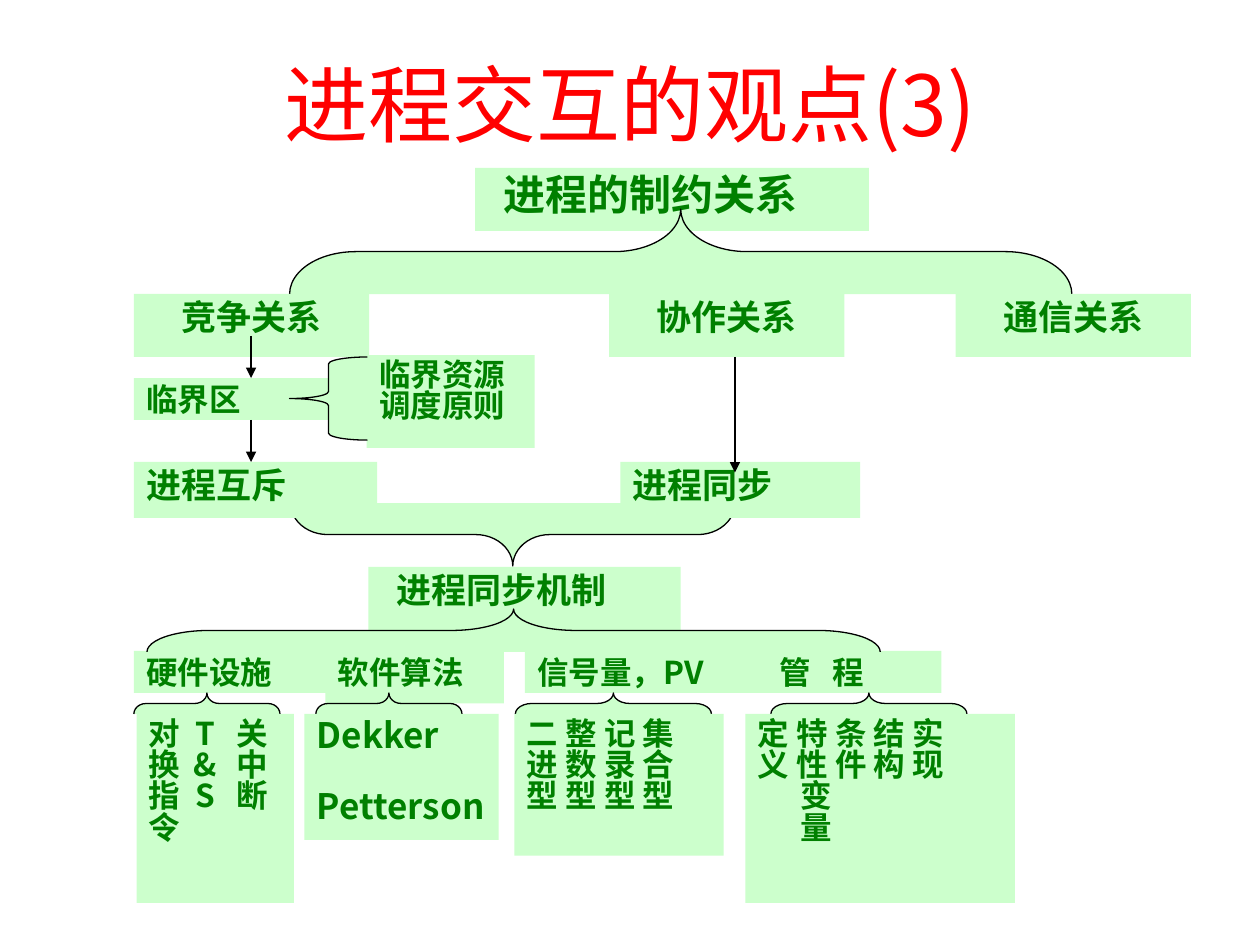
from lxml import etree
from pptx import Presentation
from pptx.dml.color import RGBColor
from pptx.enum.shapes import MSO_CONNECTOR, MSO_SHAPE
from pptx.enum.text import MSO_ANCHOR, PP_ALIGN
from pptx.oxml.ns import qn
from pptx.util import Pt

RECTANGLE = MSO_SHAPE.RECTANGLE
LEFT_BRACE = MSO_SHAPE.LEFT_BRACE
RIGHT_BRACE = MSO_SHAPE.RIGHT_BRACE
STRAIGHT = MSO_CONNECTOR.STRAIGHT
LEFT, CENTER = PP_ALIGN.LEFT, PP_ALIGN.CENTER
TOP, MIDDLE = MSO_ANCHOR.TOP, MSO_ANCHOR.MIDDLE

FONT = "Noto Sans CJK SC"
RED, GREEN, PALE_GREEN, BLACK = "FF0000", "008000", "CCFFCC", "000000"


def color(hex_value):
    return RGBColor.from_string(hex_value)


def style_paragraph(paragraph, size, hex_value, bold):
    for run in paragraph.runs:
        font = run.font
        font.size, font.bold, font.name = Pt(size), bold, FONT
        font.color.rgb = color(hex_value)
        etree.SubElement(run.font._element, qn("a:ea"), typeface=FONT)


def add_tab_stops(paragraph, stops, alignment):
    tab_list = etree.SubElement(paragraph._p.get_or_add_pPr(), qn("a:tabLst"))
    for stop in stops:
        etree.SubElement(tab_list, qn("a:tab"), pos=str(Pt(stop)), algn=alignment)


def add_label(slide, box, lines, size=18, alignment=LEFT, inset=7.2, spacing=0.9,
              tab_stops=(), tab_alignment="ctr"):
    left, top, width, height = map(Pt, box)
    shape = slide.shapes.add_shape(RECTANGLE, left, top, width, height)
    shape.shadow.inherit = False
    shape.fill.solid()
    shape.fill.fore_color.rgb = color(PALE_GREEN)
    shape.line.fill.background()
    text_frame = shape.text_frame
    text_frame.word_wrap = True
    text_frame.vertical_anchor = TOP
    text_frame.margin_left = Pt(inset)
    text_frame.text = lines
    for paragraph in text_frame.paragraphs:
        paragraph.alignment = alignment
        paragraph.line_spacing = spacing
        if tab_stops:
            add_tab_stops(paragraph, tab_stops, tab_alignment)
        style_paragraph(paragraph, size, GREEN, True)
    return text_frame


def add_brace(slide, kind, box, curve, rotation=0):
    """Place a brace so that it fills the box after it has been turned."""
    left, top, width, height = box
    if rotation:
        left, top = left + (width - height) / 2, top + (height - width) / 2
        width, height = height, width
    shape = slide.shapes.add_shape(kind, Pt(left), Pt(top), Pt(width), Pt(height))
    shape.rotation = rotation
    shape.adjustments[0] = curve
    shape.adjustments[1] = 0.5
    shape.shadow.inherit = False
    shape.fill.solid()
    shape.fill.fore_color.rgb = color(PALE_GREEN)
    shape.line.color.rgb = color(BLACK)
    shape.line.width = Pt(0.75)


def add_down_arrow(slide, x, top, bottom):
    connector = slide.shapes.add_connector(STRAIGHT, Pt(x), Pt(top), Pt(x), Pt(bottom))
    connector.line.color.rgb = color(BLACK)
    connector.line.width = Pt(0.75)
    etree.SubElement(connector.line._get_or_add_ln(), qn("a:tailEnd"), type="triangle")
    etree.SubElement(connector._element.spPr, qn("a:effectLst"))


def add_title(slide, box):
    text_frame = slide.shapes.add_textbox(*map(Pt, box)).text_frame
    text_frame.word_wrap = True
    text_frame.vertical_anchor = MIDDLE
    text_frame.text = "进程交互的观点(3)"
    paragraph = text_frame.paragraphs[0]
    paragraph.alignment = CENTER
    style_paragraph(paragraph, 48, RED, False)


def add_relations(slide, box):
    """Root label and the three kinds of relation under it."""
    left, top, width, height = box
    card_width, card_height = 134.5, 36
    card_top = top + height - card_height
    add_label(slide, (left + 195, top, 225, 36), "进程的制约关系", 24, inset=16)
    add_brace(slide, RIGHT_BRACE, (left + 89, top + 23.5, 447, 48.5), 0.78, 270)
    cards = ((0, "竞争关系"), (271.5, "协作关系"), (width - card_width, "通信关系"))
    for offset, name in cards:
        add_label(slide, (left + offset, card_top, card_width, card_height),
                  name, 20, CENTER)


def add_branches(slide, box):
    """Path from competition to mutual exclusion, and from cooperation to synchronization."""
    left, top, width, height = box
    result_top = top + height - 32
    arrow_x = left + 67
    add_brace(slide, RIGHT_BRACE, (left + 89.5, result_top + 23.5, 254, 36), 0.59, 90)
    add_label(slide, (left + 133, top - 1, 96, 53), "临界资源\n调度原则", spacing=0.83)
    add_label(slide, (left, top + 12, 111.5, 24), "临界区")
    add_label(slide, (left, result_top, 139, 32), "进程互斥", 20)
    add_label(slide, (left + width - 137, result_top, 137, 32), "进程同步", 20)
    add_brace(slide, LEFT_BRACE, (left + 89, top, 44.5, 47.5), 0.09)
    add_down_arrow(slide, arrow_x, top - 12, top + 12)
    add_down_arrow(slide, arrow_x, top + 36, result_top)
    add_down_arrow(slide, left + 343.5, top, result_top + 6)


def add_mechanisms(slide, box):
    """Mechanism label, its four kinds, and a list under each kind."""
    left, top, width, height = box
    kind_top, brace_top, list_top = top + 48, top + 72, top + 84
    add_label(slide, (left + 134, top, 178.5, 36), "进程同步机制", 20, inset=16)

    kinds = (
        (0, 134.5, 24, "硬件设施", 7.2),
        (109.5, 102, 30, "软件算法", 7.2),
        (223.5, 130, 24, "信号量，PV", 7.2),
        (349.5, 112, 24, "管\t程", 19.5),
    )
    for offset, kind_width, kind_height, name, inset in kinds:
        add_label(slide, (left + offset, kind_top, kind_width, kind_height), name,
                  inset=inset, tab_stops=(30,) if "\t" in name else (),
                  tab_alignment="l")
    add_brace(slide, RIGHT_BRACE, (left + 7.5, top + 24, 419, 24.5), 1.45, 270)

    braces = ((0, 83.5, 0.58), (104, 83.5, 0.58), (218, 112, 0.78), (364, 112, 0.78))
    for offset, brace_width, curve in braces:
        add_brace(slide, LEFT_BRACE, (left + offset, brace_top, brace_width, 12),
                  curve, 90)

    add_label(slide, (left + 1.5, list_top, 90, height - 84),
              "对\tT\t关\n换\t&\t中\n指\tS\t断\n令", spacing=0.83, tab_stops=(32, 59))
    algorithms = add_label(slide, (left + 97.5, list_top, 111, 72),
                           "Dekker\nPetterson", 20, spacing=0.83)
    algorithms.paragraphs[1].space_before = Pt(21)
    add_label(slide, (left + 217.5, list_top, 119.5, 81),
              "二 整 记 集\n进 数 录 合\n型 型 型 型", spacing=0.83)
    monitor = add_label(slide, (left + width - 154, list_top, 154, height - 84),
                        "定 特 条 结 实\n义 性 件 构 现\n变\n量", spacing=0.83)
    for paragraph in monitor.paragraphs[2:]:
        paragraph._p.get_or_add_pPr().set("marL", str(Pt(24.5)))


def main():
    presentation = Presentation()
    presentation.slide_width, presentation.slide_height = Pt(720), Pt(540)
    slide = presentation.slides.add_slide(presentation.slide_layouts[6])
    add_title(slide, (54, 24, 612, 70))
    add_relations(slide, (76.5, 96, 604, 108))
    add_branches(slide, (76.5, 204, 415, 92))
    add_mechanisms(slide, (76.5, 324, 503.5, 192))
    presentation.save("out.pptx")


if __name__ == "__main__":
    main()
